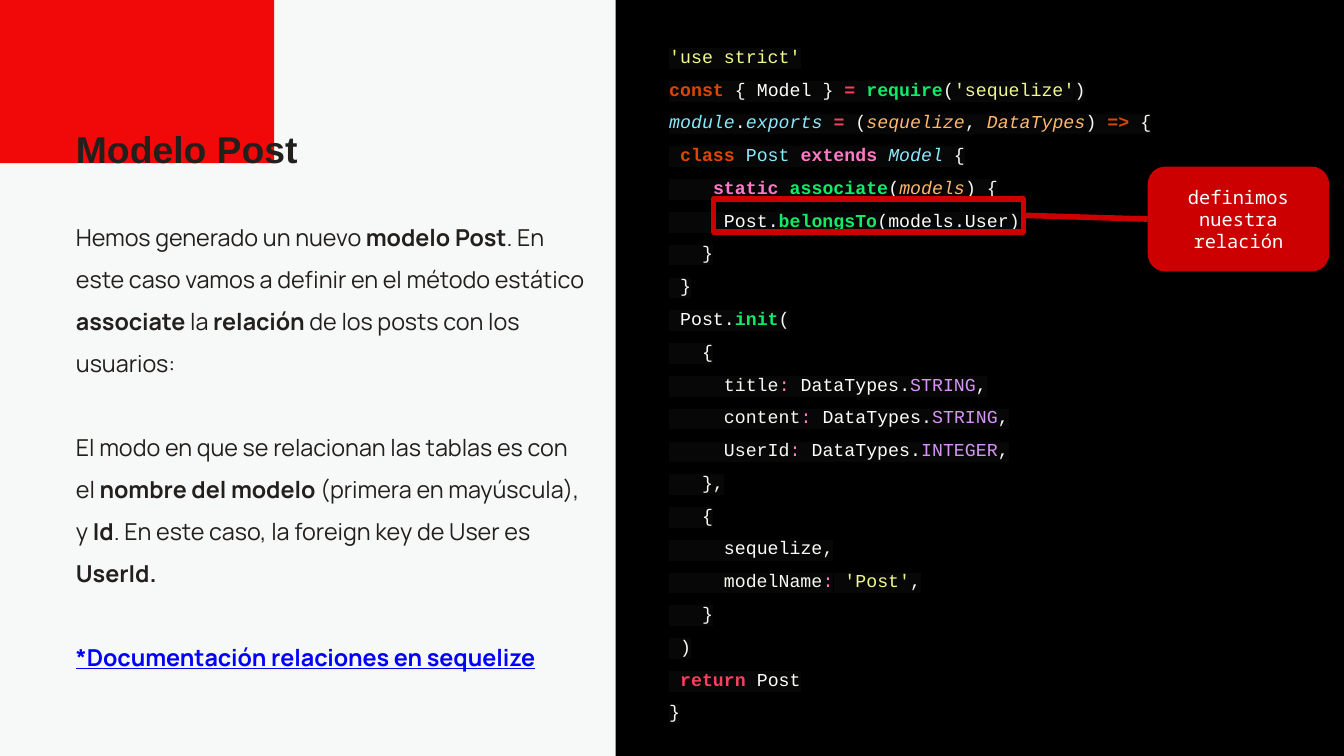
from typing import NamedTuple, Optional

from lxml import etree
from pptx import Presentation
from pptx.dml.color import RGBColor
from pptx.enum.shapes import MSO_CONNECTOR, MSO_SHAPE
from pptx.enum.text import MSO_ANCHOR, MSO_AUTO_SIZE, PP_ALIGN
from pptx.oxml.ns import qn
from pptx.util import Inches, Pt

RECTANGLE, ROUNDED = MSO_SHAPE.RECTANGLE, MSO_SHAPE.ROUNDED_RECTANGLE
TOP, MIDDLE = MSO_ANCHOR.TOP, MSO_ANCHOR.MIDDLE
LEFT, CENTER = PP_ALIGN.LEFT, PP_ALIGN.CENTER
GROW, FIXED = MSO_AUTO_SIZE.SHAPE_TO_FIT_TEXT, MSO_AUTO_SIZE.NONE

INK, PAPER, RED, ACCENT = "231F1D", "F7F9F8", "F10909", "CC0000"
LEFT_SIDE, RIGHT_SIDE = 1, 3


class Style(NamedTuple):
    color: str
    bold: bool = False
    italic: bool = False
    underline: bool = False


class Area(NamedTuple):
    left: float
    top: float
    width: float
    height: float


# Prose styles
PROSE = Style(INK)
STRONG = Style(INK, bold=True)
LINK = Style("0000FF", bold=True, underline=True)

# Code styles
PLAIN = Style("F8F8F2")
NAME = Style("FFFEFB")
QUOTE = Style("E9F284")
STRING = Style("F1FA8C")
KEYWORD = Style("DE4600", bold=True)
OPERATOR = Style("FB3F5E", bold=True)
METHOD = Style("10EC68", bold=True)
MODIFIER = Style("FF79C6", bold=True)
COLON = Style("FF79C6")
CLASS = Style("8BE9FD")
BUILT_IN = Style("8BE9FD", italic=True)
ARGUMENT = Style("FFB86C", italic=True)
CONSTANT = Style("D694F5")

Line = list[tuple[str, Style]]


def quoted(text: str) -> Line:
    return [("'", QUOTE), (text, STRING), ("'", QUOTE)]


def field(name: str, kind: str) -> Line:
    return [(f"     {name}", PLAIN), (":", COLON), (" ", PLAIN), ("DataTypes", NAME),
            (".", PLAIN), (kind, CONSTANT), (",", PLAIN)]


def plain(text: str) -> Line:
    return [(text, PLAIN)]


PROSE_LINES: list[Line] = [
    [("Hemos generado un nuevo ", PROSE), ("modelo Post", STRONG),
     (". En este caso vamos a definir en el método estático ", PROSE),
     ("associate", STRONG), (" la ", PROSE), ("relación", STRONG),
     (" de los posts con los usuarios:", PROSE)],
    [("El modo en que se relacionan las tablas es con el ", PROSE),
     ("nombre del modelo", STRONG), (" (primera en mayúscula), y ", PROSE),
     ("Id", STRONG), (". En este caso, la foreign key de User es ", PROSE),
     ("UserId.", STRONG)],
    [("*Documentación relaciones en sequelize", LINK)],
]

CODE_LINES: list[Line] = [
    quoted("use strict"),
    [("const", KEYWORD), (" { ", PLAIN), ("Model", NAME), (" } ", PLAIN), ("=", OPERATOR),
     (" ", PLAIN), ("require", METHOD), ("(", PLAIN), *quoted("sequelize"), (")", PLAIN)],
    [("module", BUILT_IN), (".", PLAIN), ("exports", BUILT_IN), (" ", PLAIN),
     ("=", OPERATOR), (" (", PLAIN), ("sequelize", ARGUMENT), (", ", PLAIN),
     ("DataTypes", ARGUMENT), (") ", PLAIN), ("=>", KEYWORD), (" {", PLAIN)],
    [(" ", PLAIN), ("class", KEYWORD), (" ", PLAIN), ("Post", CLASS), (" ", PLAIN),
     ("extends", MODIFIER), (" ", PLAIN), ("Model", BUILT_IN), (" {", PLAIN)],
    [("    ", PLAIN), ("static", MODIFIER), (" ", PLAIN), ("associate", METHOD),
     ("(", PLAIN), ("models", ARGUMENT), (") {", PLAIN)],
    [("     ", PLAIN), ("Post", NAME), (".", PLAIN), ("belongsTo", METHOD), ("(", PLAIN),
     ("models", NAME), (".", PLAIN), ("User", NAME), (")", PLAIN)],
    plain("   }"),
    plain(" }"),
    [(" ", PLAIN), ("Post", NAME), (".", PLAIN), ("init", METHOD), ("(", PLAIN)],
    plain("   {"),
    field("title", "STRING"),
    field("content", "STRING"),
    field("UserId", "INTEGER"),
    plain("   },"),
    plain("   {"),
    [("     ", PLAIN), ("sequelize", NAME), (",", PLAIN)],
    [("     modelName", PLAIN), (":", COLON), (" ", PLAIN), *quoted("Post"), (",", PLAIN)],
    plain("   }"),
    plain(" )"),
    [(" ", PLAIN), ("return", OPERATOR), (" ", PLAIN), ("Post", NAME)],
    plain("}"),
]


def rgb(color: str) -> RGBColor:
    return RGBColor.from_string(color)


def place(shape, area: Area) -> None:
    shape.left, shape.top, shape.width, shape.height = map(Inches, area)


def highlight(span, color: str) -> None:
    fill = span.font._element.find(qn("a:solidFill"))
    mark = etree.Element(qn("a:highlight"))
    etree.SubElement(mark, qn("a:srgbClr")).set("val", color)
    fill.addnext(mark)


def write(shape, lines: list[Line], *, font: str, size: float, spacing: float = 1.0,
          gap: float = 0, inset: float = 0, anchor=TOP, align=LEFT, fit=FIXED,
          marker: Optional[str] = None) -> None:
    frame = shape.text_frame
    frame.word_wrap, frame.auto_size, frame.vertical_anchor = True, fit, anchor
    frame.margin_left = frame.margin_right = Inches(inset)
    frame.margin_top = frame.margin_bottom = Inches(inset)
    for index, line in enumerate(lines):
        para = frame.add_paragraph() if index else frame.paragraphs[0]
        para.alignment, para.line_spacing = align, spacing
        para.space_before = Pt(gap if index else 0)
        for text, style in line:
            span = para.add_run()
            span.text = text
            span.font.name, span.font.size = font, Pt(size)
            span.font.bold, span.font.italic = style.bold, style.italic
            span.font.underline = style.underline
            span.font.color.rgb = rgb(style.color)
            if marker:
                highlight(span, marker)


def add_block(page, area: Area, *, kind=RECTANGLE, fill: Optional[str] = None,
              line: Optional[str] = None, weight: float = 6):
    block = page.shapes.add_shape(kind, *map(Inches, area))
    block.shadow.inherit = False
    if fill:
        block.fill.solid()
        block.fill.fore_color.rgb = rgb(fill)
    else:
        block.fill.background()
    if line:
        block.line.color.rgb, block.line.width = rgb(line), Pt(weight)
    else:
        block.line.fill.background()
    return block


def join(page, start, end, *, color: str, weight: float) -> None:
    connector = page.shapes.add_connector(MSO_CONNECTOR.STRAIGHT, 0, 0, 0, 0)
    connector.begin_connect(start, RIGHT_SIDE)
    connector.end_connect(end, LEFT_SIDE)
    connector.line.color.rgb, connector.line.width = rgb(color), Pt(weight)
    etree.SubElement(connector.element.spPr, qn("a:effectLst"))


def main() -> None:
    deck = Presentation()
    deck.slide_width, deck.slide_height = Inches(20), Inches(11.25)
    page = deck.slides.add_slide(deck.slide_layouts[5])
    page.background.fill.solid()
    page.background.fill.fore_color.rgb = rgb(PAPER)

    # Background panels
    add_block(page, Area(0, 0, 4.08, 2.43), fill=RED)
    code_panel = add_block(page, Area(9.16, 0, 10.84, 11.25), fill="000000")

    # Title, in front of the panels
    title = page.shapes.title
    place(title, Area(1.13, 1.75, 7.28, 0.67))
    write(title, [[("Modelo Post", STRONG)]], font="Arial", size=40, spacing=1.2, fit=GROW)
    code_panel.element.addnext(title.element)

    # Explanation
    prose = page.shapes.add_textbox(*map(Inches, Area(1.13, 3.12, 7.62, 6.73)))
    write(prose, PROSE_LINES, font="Manrope", size=25, spacing=1.5, gap=45, fit=GROW)

    # Code listing
    code = page.shapes.add_textbox(*map(Inches, Area(9.86, 1.57, 9.91, 8.12)))
    write(code, CODE_LINES, font="Courier New", size=19.5, spacing=1.5, inset=0.1,
          anchor=MIDDLE, marker="070707")

    # Highlighted call and its callout
    frame = add_block(page, Area(10.62, 2.96, 4.61, 0.49), line=ACCENT)
    callout = add_block(page, Area(17.08, 2.48, 2.7, 1.56), kind=ROUNDED, fill=ACCENT)
    write(callout, [[("definimos nuestra relación", Style("FFFFFF"))]],
          font="Noto Sans Mono", size=20, inset=0.1, anchor=MIDDLE, align=CENTER)
    join(page, frame, callout, color=ACCENT, weight=6)

    deck.save("out.pptx")


if __name__ == "__main__":
    main()
